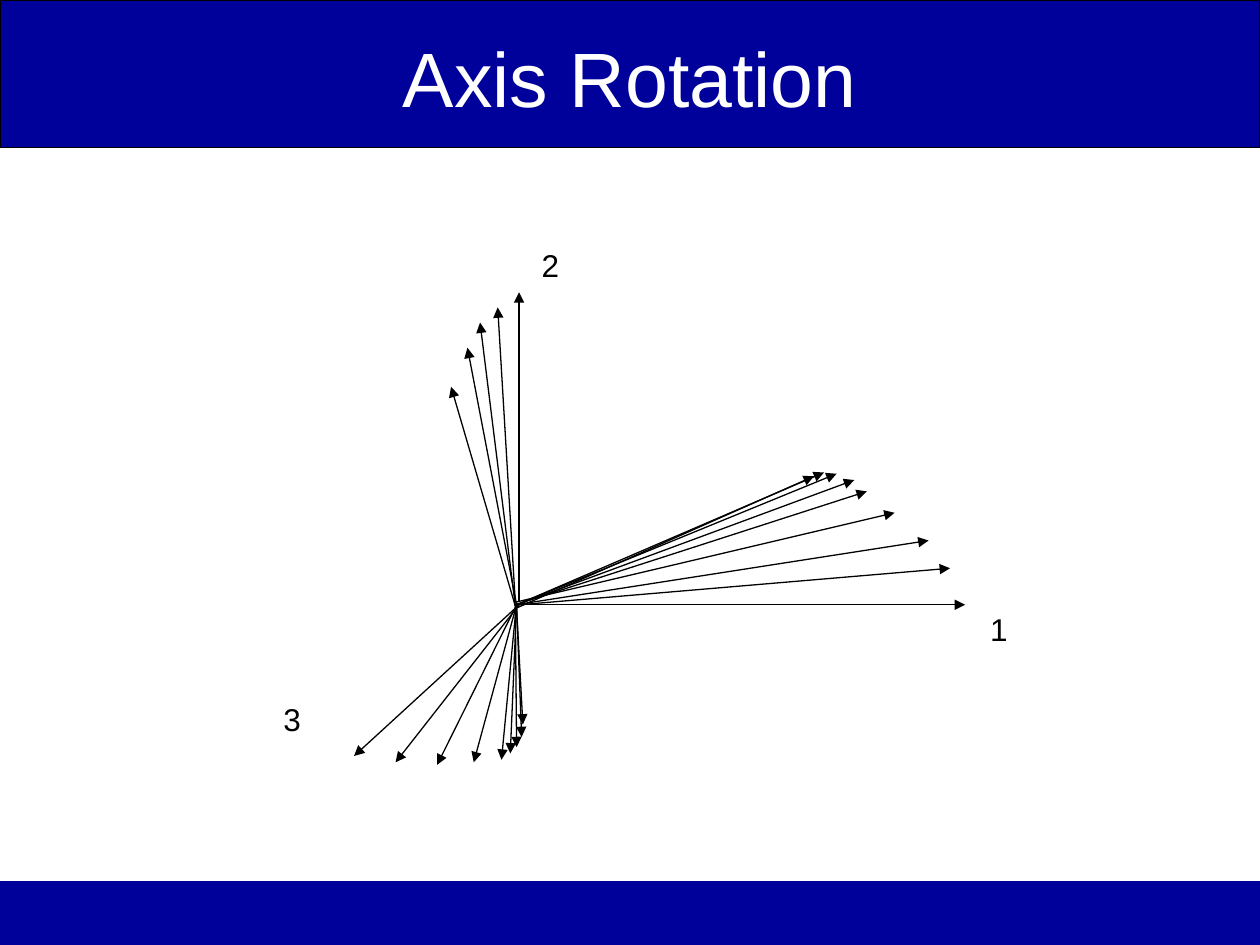
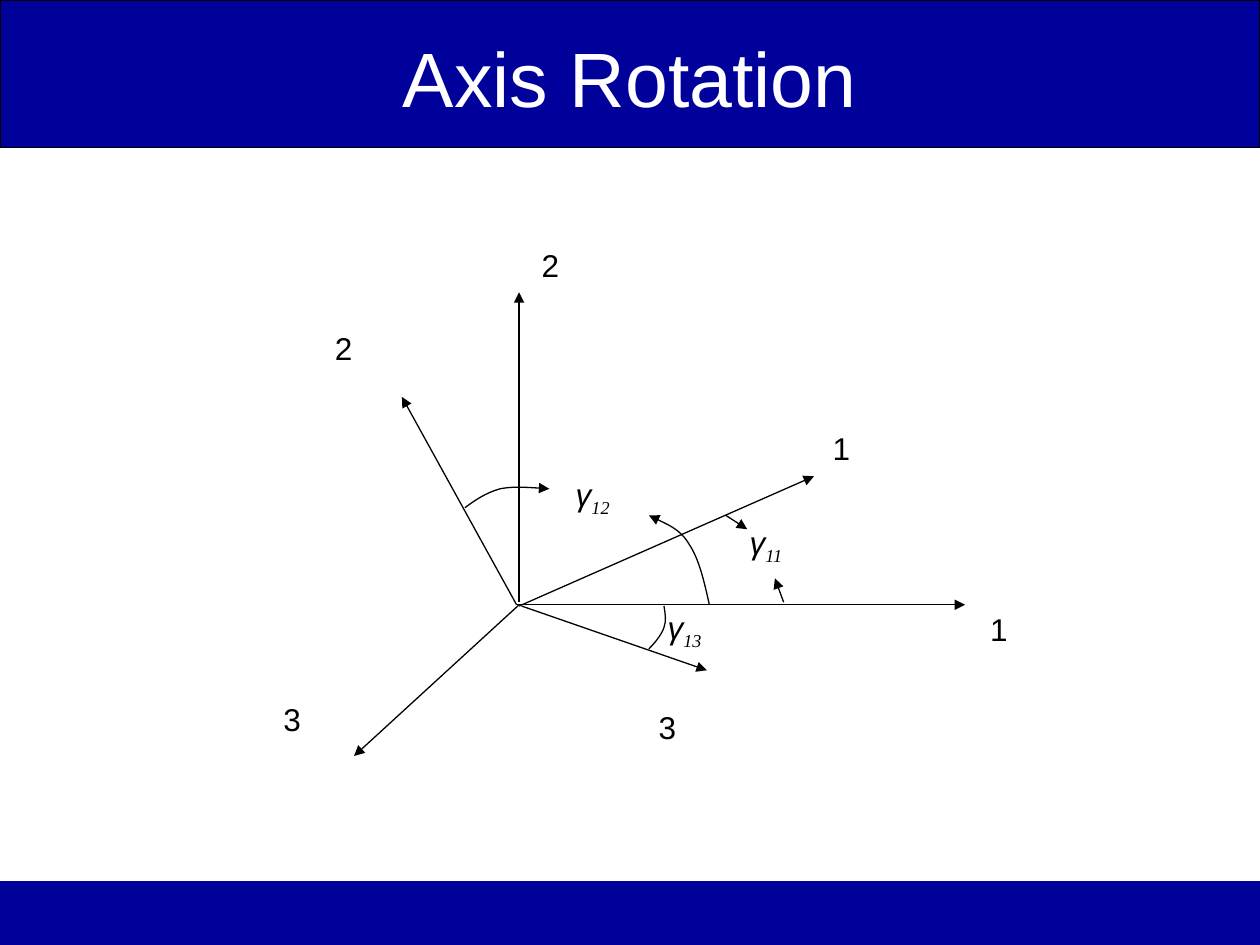
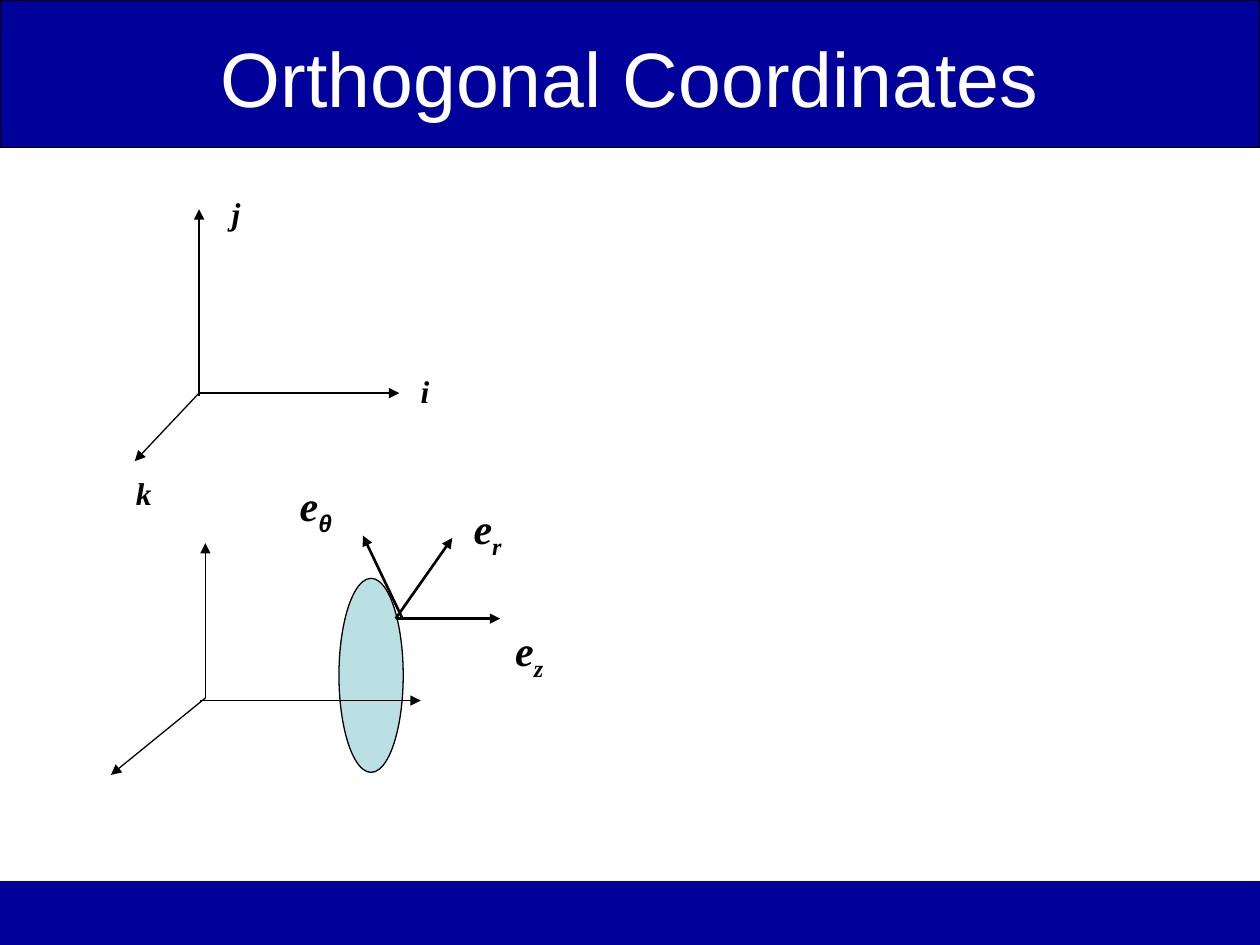
"""Build three slides on axis rotation and orthogonal coordinates."""
from dataclasses import dataclass

from lxml.etree import SubElement
from pptx import Presentation
from pptx.dml.color import RGBColor
from pptx.enum.shapes import MSO_CONNECTOR, MSO_SHAPE
from pptx.enum.text import MSO_ANCHOR, MSO_AUTO_SIZE, PP_ALIGN
from pptx.oxml.ns import qn
from pptx.presentation import Presentation as Deck
from pptx.shapes.autoshape import Shape
from pptx.slide import Slide
from pptx.util import Pt

PX = 9144
COLORS = {"band": "00009A", "ink": "000000", "title": "FFFFFF", "disc": "BBE0E3"}
SANS, SERIF = "Arial", "Times New Roman"
Point = tuple[int, int]


@dataclass(frozen=True)
class Box:
    left: int
    top: int
    width: int
    height: int

    def emu(self) -> tuple[int, int, int, int]:
        return self.left * PX, self.top * PX, self.width * PX, self.height * PX


@dataclass(frozen=True)
class Arrow:
    start: Point
    end: Point
    weight: float = 0.75


@dataclass(frozen=True)
class Curve:
    start: Point
    controls: tuple[Point, ...]
    has_head: bool = True


@dataclass(frozen=True)
class Label:
    box: Box
    text: str
    font: str = SANS
    size: int = 18
    bold: bool = False
    italic: bool = False
    subscript: str = ""
    subscript_font: str = SERIF


def number(left: int, top: int, width: int, text: str) -> Label:
    return Label(Box(left, top, width, 40), text)


def gamma(left: int, top: int, subscript: str) -> Label:
    return Label(Box(left, top, 91, 44), "γ", italic=True, subscript=subscript)


def cartesian_unit(left: int, top: int, text: str) -> Label:
    return Label(Box(left, top, 52, 40), text, SERIF, bold=True, italic=True)


def polar_unit(left: int, top: int, width: int, subscript: str, font: str = SERIF) -> Label:
    return Label(Box(left, top, width, 56), "e", SERIF, 24, True, True, subscript, font)


FIXED_AXES = [
    Arrow((410, 480), (766, 480)),
    Arrow((412, 480), (281, 600)),
    Arrow((412, 478), (412, 232)),
]
FIXED_NUMBERS = [number(215, 551, 53, "3"), number(776, 479, 64, "1"), number(420, 190, 71, "2")]

ROTATION_STEPS = [
    [Arrow((412, 480), (314, 605)), Arrow((412, 480), (754, 451))],
    [Arrow((410, 480), (347, 607)), Arrow((409, 480), (737, 429))],
    [Arrow((410, 480), (376, 605)), Arrow((409, 478), (710, 407))],
    [Arrow((410, 478), (398, 603)), Arrow((409, 480), (688, 390))],
    [Arrow((409, 478), (395, 244)), Arrow((410, 480), (405, 598)), Arrow((410, 480), (678, 381))],
    [Arrow((410, 480), (664, 376)), Arrow((409, 481), (381, 256)), Arrow((409, 480), (410, 593))],
    [Arrow((410, 480), (371, 276)), Arrow((410, 480), (414, 585)), Arrow((410, 480), (654, 375))],
    [Arrow((409, 481), (358, 307)), Arrow((410, 483), (415, 575)), Arrow((409, 483), (646, 378))],
]

ROTATED_AXES = [
    Arrow((412, 481), (646, 378)),
    Arrow((414, 481), (561, 532)),
    Arrow((410, 480), (319, 315)),
]
ROTATED_NUMBERS = [number(651, 336, 64, "1"), number(256, 256, 71, "2"), number(513, 557, 53, "3")]
GAMMAS = [gamma(520, 478, "13"), gamma(585, 410, "11"), gamma(447, 372, "12")]
GAMMA_11_ARROWS = [Arrow((622, 478), (615, 459)), Arrow((576, 409), (593, 420))]
GAMMA_ARCS = [
    Curve((563, 480), ((559, 462), (555, 444), (547, 432), (540, 420), (521, 412), (515, 409))),
    Curve((369, 403), ((377, 397), (386, 391), (397, 388), (407, 386), (422, 387), (436, 388))),
    Curve((515, 515), ((520, 510), (525, 504), (527, 498), (529, 493), (528, 487), (527, 481)), False),
]

CARTESIAN_AXES = [
    Arrow((158, 314), (158, 166)),
    Arrow((158, 312), (317, 312)),
    Arrow((158, 312), (107, 366)),
]
CARTESIAN_UNITS = [
    cartesian_unit(324, 290, "i"),
    cartesian_unit(98, 371, "k"),
    cartesian_unit(174, 149, "j"),
]
DISC = Box(269, 459, 51, 154)
CYLINDRICAL_AXES = [
    Arrow((163, 554), (163, 431)),
    Arrow((159, 556), (334, 556)),
    Arrow((163, 554), (88, 615)),
]
POLAR_ARROWS = [
    Arrow((314, 491), (359, 427), 1.5),
    Arrow((314, 491), (397, 491), 1.5),
    Arrow((319, 490), (288, 425), 1.5),
]
POLAR_UNITS = [
    polar_unit(366, 394, 52, "r"),
    polar_unit(399, 491, 54, "z"),
    polar_unit(228, 376, 52, "θ", SANS),
]


def rgb(name: str) -> RGBColor:
    return RGBColor.from_string(COLORS[name])


def draw_shape(slide: Slide, kind: MSO_SHAPE, box: Box, fill: str, outline: str) -> Shape:
    shape = slide.shapes.add_shape(kind, *box.emu())
    shape.shadow.inherit = False
    shape.fill.solid()
    shape.fill.fore_color.rgb = rgb(fill)
    shape.line.color.rgb = rgb(outline)
    shape.line.width = Pt(0.75)
    return shape


def add_head(stroke) -> None:
    SubElement(stroke.element.spPr.find(qn("a:ln")), qn("a:tailEnd"), type="triangle")


def draw_arrows(shapes, arrows: list[Arrow]) -> None:
    for arrow in arrows:
        ends = [value * PX for value in arrow.start + arrow.end]
        connector = shapes.add_connector(MSO_CONNECTOR.STRAIGHT, *ends)
        connector.line.color.rgb = rgb("ink")
        connector.line.width = Pt(arrow.weight)
        add_head(connector)
        SubElement(connector.element.spPr, qn("a:effectLst"))


def draw_curve(slide: Slide, curve: Curve) -> None:
    builder = slide.shapes.build_freeform(*curve.start, scale=PX)
    builder.add_line_segments(curve.controls, close=False)
    arc = builder.convert_to_shape()
    outline = next(arc.element.iter(qn("a:path")))
    segments = outline.findall(qn("a:lnTo"))
    for first in range(0, len(segments), 3):
        bezier = SubElement(outline, qn("a:cubicBezTo"))
        for segment in segments[first:first + 3]:
            bezier.append(segment[0])
            outline.remove(segment)
    arc.shadow.inherit = False
    arc.fill.background()
    arc.line.color.rgb = rgb("ink")
    arc.line.width = Pt(0.75)
    if curve.has_head:
        add_head(arc)


def draw_labels(slide: Slide, labels: list[Label]) -> None:
    for label in labels:
        frame = slide.shapes.add_textbox(*label.box.emu()).text_frame
        frame.word_wrap = True
        frame.auto_size = MSO_AUTO_SIZE.SHAPE_TO_FIT_TEXT
        paragraph = frame.paragraphs[0]
        paragraph.font.size = Pt(label.size)
        paragraph.font.bold = label.bold
        paragraph.font.italic = label.italic
        paragraph.font.color.rgb = rgb("ink")
        symbol = paragraph.add_run()
        symbol.text = label.text
        if not label.subscript or label.subscript_font == label.font:
            paragraph.font.name = label.font
        else:
            symbol.font.name = label.font
        if label.subscript:
            index = paragraph.add_run()
            index.text = label.subscript
            if label.subscript_font != label.font:
                index.font.name = label.subscript_font
            index._r.get_or_add_rPr().set("baseline", "-25000")


def add_titled_slide(deck: Deck, text: str) -> Slide:
    slide = deck.slides.add_slide(deck.slide_layouts.get_by_name("Title Only"))
    title = slide.shapes.title
    title.left, title.top, title.width, title.height = Box(50, 17, 900, 87).emu()
    frame = title.text_frame
    frame.text = text
    frame.auto_size = MSO_AUTO_SIZE.NONE
    frame.vertical_anchor = MSO_ANCHOR.MIDDLE
    heading = frame.paragraphs[0]
    heading.alignment = PP_ALIGN.CENTER
    heading.font.name = SANS
    heading.font.size = Pt(44)
    heading.font.color.rgb = rgb("title")
    return slide


def move_bands_to_master(deck: Deck, slide: Slide) -> None:
    master_tree = deck.slide_master.shapes.element
    for box, outline in ((Box(0, 0, 1000, 117), "ink"), (Box(0, 700, 1000, 50), "band")):
        band = draw_shape(slide, MSO_SHAPE.RECTANGLE, box, "band", outline)
        master_tree.insert(2, band.element)


def main() -> None:
    deck = Presentation()
    deck.slide_width, deck.slide_height = 1000 * PX, 750 * PX

    steps = add_titled_slide(deck, "Axis Rotation")
    move_bands_to_master(deck, steps)
    draw_arrows(steps.shapes, FIXED_AXES)
    draw_labels(steps, FIXED_NUMBERS)
    for step in ROTATION_STEPS:
        draw_arrows(steps.shapes.add_group_shape().shapes, step)

    angles = add_titled_slide(deck, "Axis Rotation")
    draw_arrows(angles.shapes, FIXED_AXES + ROTATED_AXES)
    draw_labels(angles, ROTATED_NUMBERS + FIXED_NUMBERS + GAMMAS)
    draw_arrows(angles.shapes, GAMMA_11_ARROWS)
    for arc in GAMMA_ARCS:
        draw_curve(angles, arc)

    coordinates = add_titled_slide(deck, "Orthogonal Coordinates")
    draw_arrows(coordinates.shapes, CARTESIAN_AXES)
    draw_labels(coordinates, CARTESIAN_UNITS)
    draw_shape(coordinates, MSO_SHAPE.OVAL, DISC, "disc", "ink")
    draw_arrows(coordinates.shapes, CYLINDRICAL_AXES + POLAR_ARROWS)
    draw_labels(coordinates, POLAR_UNITS)

    deck.save("out.pptx")


if __name__ == "__main__":
    main()
